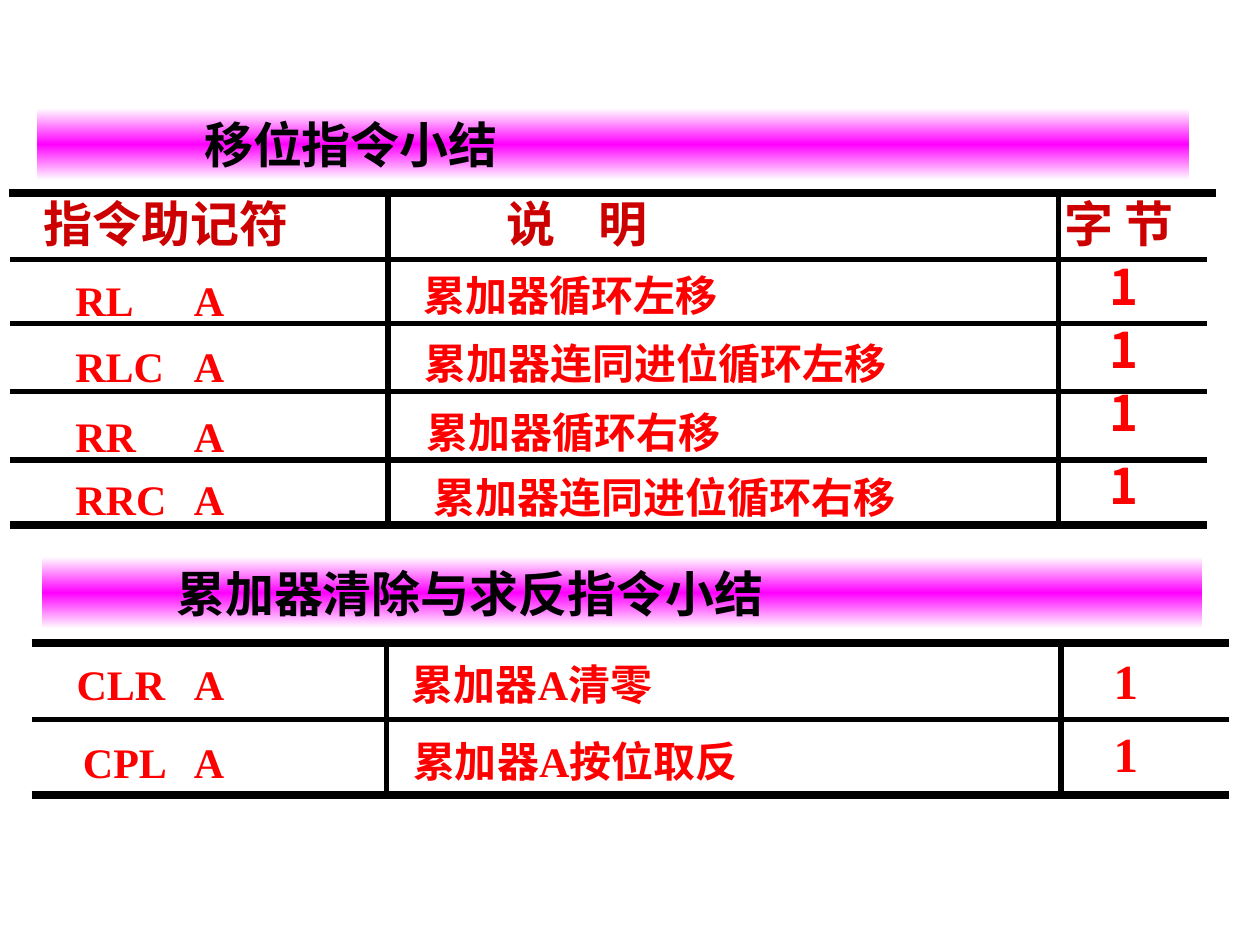
import copy
from dataclasses import dataclass

import pptx
import pptx.dml.color
import pptx.enum.shapes
import pptx.enum.text
import pptx.oxml
import pptx.oxml.ns
import pptx.util

Inches = pptx.util.Inches
Pt = pptx.util.Pt
RGBColor = pptx.dml.color.RGBColor
qn = pptx.oxml.ns.qn

BLACK = RGBColor(0x00, 0x00, 0x00)
WHITE = RGBColor(0xFF, 0xFF, 0xFF)
MAGENTA = RGBColor(0xFF, 0x00, 0xFF)
DARK_RED = RGBColor(0xCC, 0x00, 0x00)
RED = RGBColor(0xFF, 0x00, 0x00)
SANS = "Noto Sans CJK SC"
SERIF = "Times New Roman"
THICK, THIN = 4.5, 3
INSET = 0.1
OPERAND_X = 1.54
BYTE_WIDTH = 0.67


@dataclass(frozen=True)
class Rule:
    x1: float
    y1: float
    x2: float
    y2: float
    weight: float = THIN


@dataclass(frozen=True)
class Label:
    text: str
    left: float
    top: float
    width: float
    size: int = 24
    font: str = SANS
    color: RGBColor = RED
    tab: float | None = None

    @property
    def height(self) -> float:
        return 0.57 if self.size == 28 else 0.5


@dataclass(frozen=True)
class Banner:
    text: str
    left: float
    top: float
    width: float
    indent: float


def header(text: str, left: float, width: float, tab: float | None = None) -> Label:
    return Label(text, left, 1.49, width, 28, SANS, DARK_RED, tab)


def mnemonic(operation: str, left: float, top: float, width: float) -> Label:
    return Label(f"{operation}\tA", left, top, width, font=SERIF,
                 tab=OPERAND_X - left - INSET)


def byte_count(left: float, top: float, font: str) -> Label:
    return Label("1", left, top, BYTE_WIDTH, 28, font)


SHIFT_BANNER = Banner("移位指令小结", 0.29, 0.86, 9.15, 1.23)
CLEAR_BANNER = Banner("累加器清除与求反指令小结", 0.33, 4.42, 9.21, 0.97)

SHIFT_RULES = [
    Rule(0.07, 1.53, 9.65, 1.53, THICK),
    *(Rule(0.08, y, 9.58, y) for y in (2.06, 2.57, 3.11, 3.65)),
    Rule(0.08, 4.17, 9.58, 4.17, THICK),
    *(Rule(x, 1.56, x, 4.14) for x in (3.08, 8.4)),
]
SHIFT_LABELS = [
    header("指令助记符", 0.25, 2.44),
    header("说\t明", 3.92, 1.92, tab=0.73),
    header("字 节", 8.35, 1.58),
    *(byte_count(8.71, top, SANS) for top in (1.99, 2.49, 2.99, 3.57)),
    mnemonic("RL", 0.5, 2.13, 1.68),
    mnemonic("RLC", 0.5, 2.65, 2.1),
    mnemonic("RR", 0.5, 3.21, 2.1),
    mnemonic("RRC", 0.5, 3.71, 2.51),
    Label("累加器循环左移", 3.26, 2.09, 2.65),
    Label("累加器连同进位循环左移", 3.27, 2.63, 4),
    Label("累加器循环右移", 3.29, 3.18, 2.65),
    Label("累加器连同进位循环右移", 3.34, 3.69, 4),
]

CLEAR_RULES = [
    Rule(0.25, 5.1, 9.75, 5.1, THICK),
    Rule(0.25, 5.71, 9.75, 5.71),
    Rule(0.25, 6.31, 9.75, 6.31, THICK),
    *(Rule(x, 5.08, x, 6.31) for x in (3.07, 8.42)),
]
CLEAR_LABELS = [
    *(byte_count(8.74, top, SERIF) for top in (5.11, 5.69)),
    mnemonic("CLR", 0.51, 5.18, 2.16),
    mnemonic("CPL", 0.56, 5.8, 2.09),
    Label("累加器A清零", 3.17, 5.18, 2.45, font=SERIF),
    Label("累加器A按位取反", 3.18, 5.79, 3.1, font=SERIF),
]


def write(paragraph, text: str, size: int, font: str, color: RGBColor) -> None:
    paragraph.alignment = pptx.enum.text.PP_ALIGN.LEFT
    run = paragraph.add_run()
    run.text = text
    run.font.size = Pt(size)
    run.font.bold = True
    run.font.name = font
    run.font.color.rgb = color
    east_asian = pptx.oxml.parse_xml(
        f'<a:ea {pptx.oxml.ns.nsdecls("a")} typeface="{SANS}"/>')
    run.font._element.find(qn("a:latin")).addnext(east_asian)


def add_tab(paragraph, position: float) -> None:
    paragraph._p.get_or_add_pPr().append(pptx.oxml.parse_xml(
        f'<a:tabLst {pptx.oxml.ns.nsdecls("a")}>'
        f'<a:tab pos="{Inches(position)}" algn="l"/></a:tabLst>'))


def draw_rule(slide, rule: Rule) -> None:
    line = slide.shapes.add_connector(
        pptx.enum.shapes.MSO_CONNECTOR.STRAIGHT,
        Inches(rule.x1), Inches(rule.y1), Inches(rule.x2), Inches(rule.y2))
    line.line.color.rgb = BLACK
    line.line.width = Pt(rule.weight)
    line._element.spPr.append(
        pptx.oxml.parse_xml(f'<a:effectLst {pptx.oxml.ns.nsdecls("a")}/>'))


def draw_label(slide, label: Label) -> None:
    box = slide.shapes.add_textbox(Inches(label.left), Inches(label.top),
                                   Inches(label.width), Inches(label.height))
    frame = box.text_frame
    frame.word_wrap = True
    frame.auto_size = pptx.enum.text.MSO_AUTO_SIZE.SHAPE_TO_FIT_TEXT
    paragraph = frame.paragraphs[0]
    if label.tab is not None:
        add_tab(paragraph, label.tab)
    write(paragraph, label.text, label.size, label.font, label.color)


def fill_with_glow(shape) -> None:
    """Fade vertically from white through magenta back to white."""
    shape.fill.gradient()
    shape.fill.gradient_angle = 90
    stop_list = shape._element.spPr.find(qn("a:gradFill")).find(qn("a:gsLst"))
    stop_list.append(copy.deepcopy(stop_list[-1]))
    for stop, position, color in zip(shape.fill.gradient_stops, (0, 0.5, 1),
                                     (WHITE, MAGENTA, WHITE)):
        stop.position = position
        stop.color.rgb = color


def format_banner(shape, banner: Banner) -> None:
    shape.left, shape.top = Inches(banner.left), Inches(banner.top)
    shape.width, shape.height = Inches(banner.width), Inches(0.57)
    fill_with_glow(shape)
    shape.line.fill.background()
    frame = shape.text_frame
    frame.word_wrap = True
    frame.auto_size = pptx.enum.text.MSO_AUTO_SIZE.NONE
    frame.vertical_anchor = pptx.enum.text.MSO_ANCHOR.MIDDLE
    paragraph = frame.paragraphs[0]
    paragraph._p.get_or_add_pPr().set("marL", str(Inches(banner.indent)))
    write(paragraph, banner.text, 28, SANS, BLACK)


def main() -> None:
    deck = pptx.Presentation()
    deck.slide_width, deck.slide_height = Inches(10), Inches(7.5)
    slide = deck.slides.add_slide(deck.slide_layouts[5])
    format_banner(slide.shapes.title, SHIFT_BANNER)
    for rule in SHIFT_RULES + CLEAR_RULES:
        draw_rule(slide, rule)
    for label in SHIFT_LABELS + CLEAR_LABELS:
        draw_label(slide, label)
    clear_heading = slide.shapes.add_shape(
        pptx.enum.shapes.MSO_SHAPE.RECTANGLE, 0, 0, 0, 0)
    clear_heading.shadow.inherit = False
    format_banner(clear_heading, CLEAR_BANNER)
    deck.save("out.pptx")


if __name__ == "__main__":
    main()
